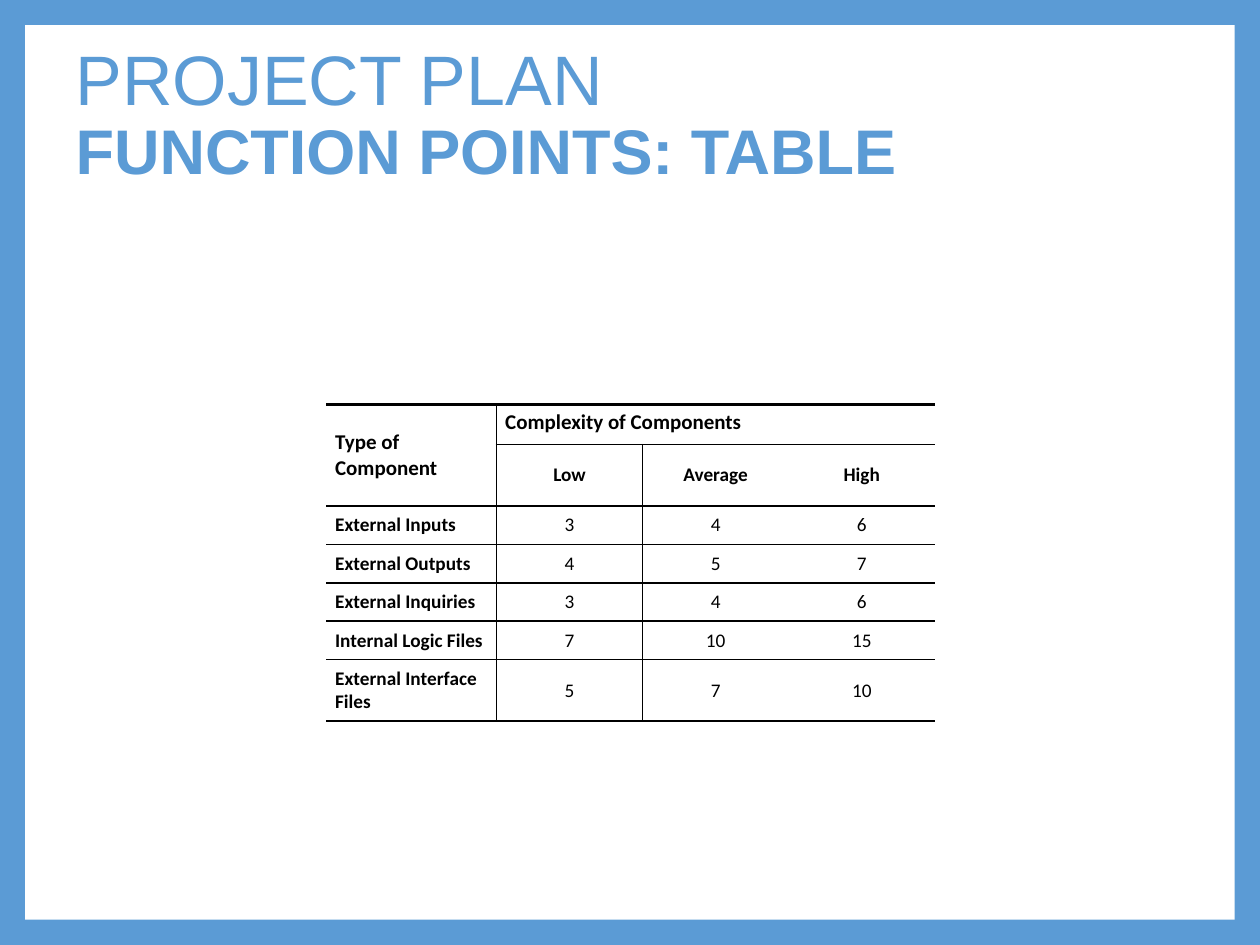
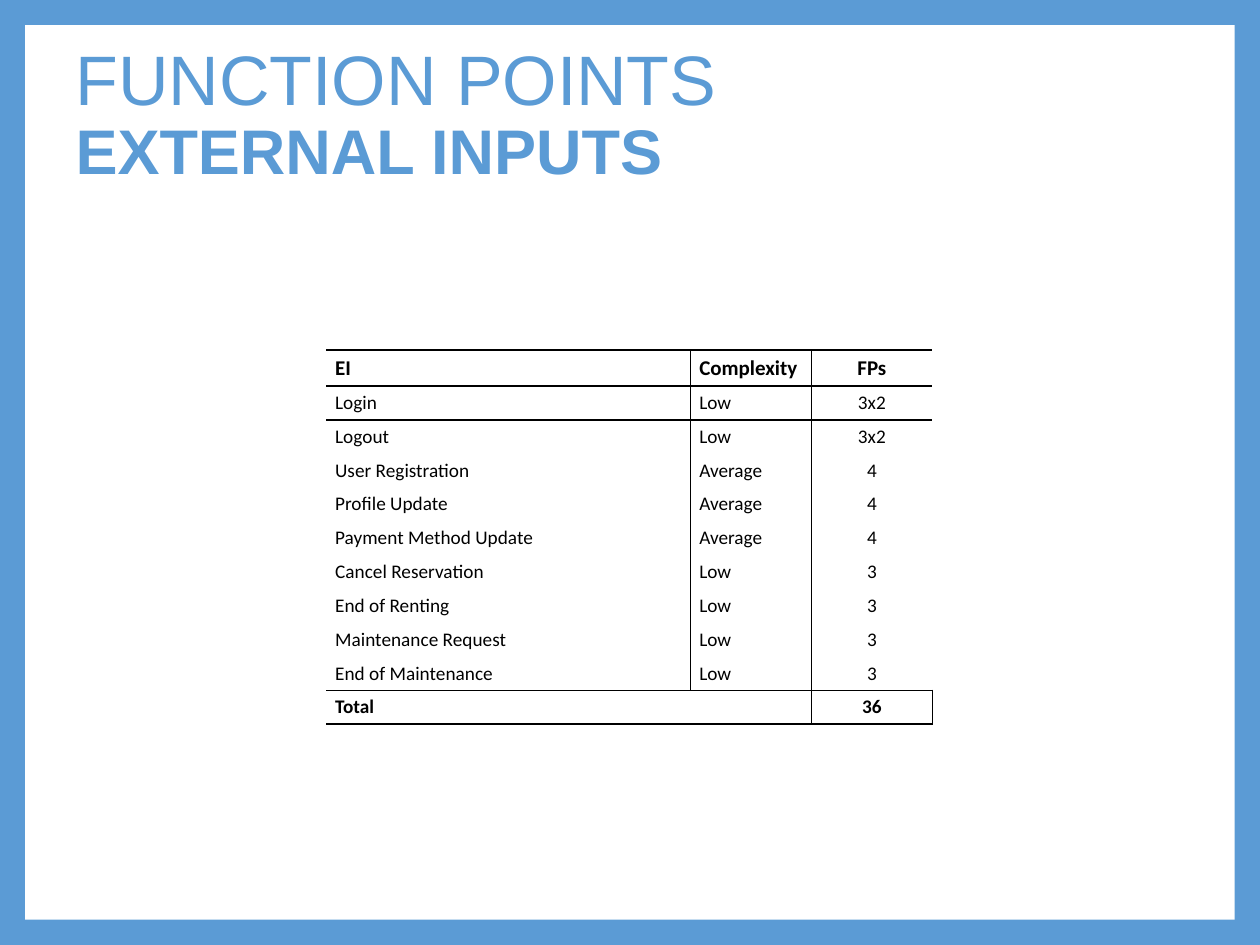
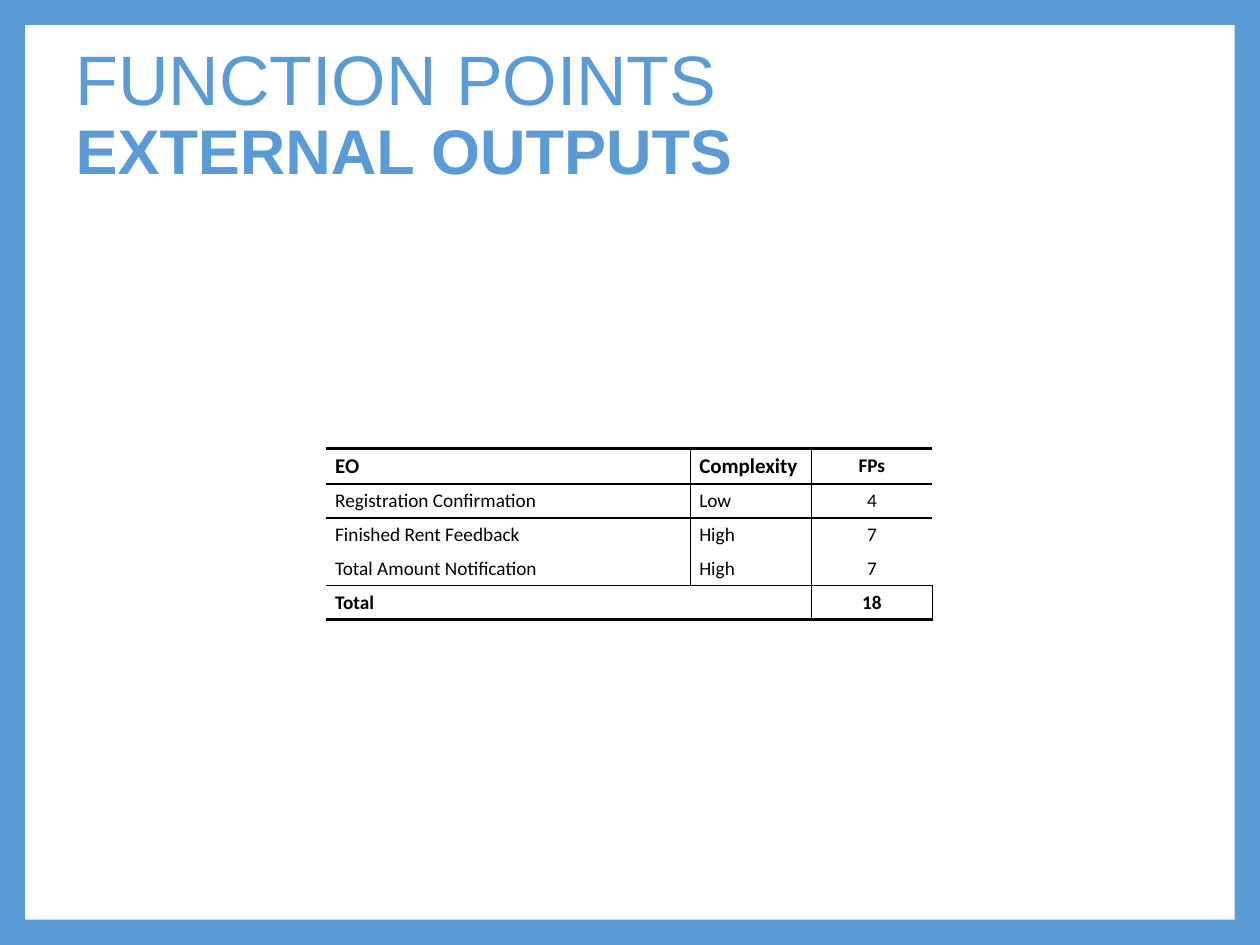
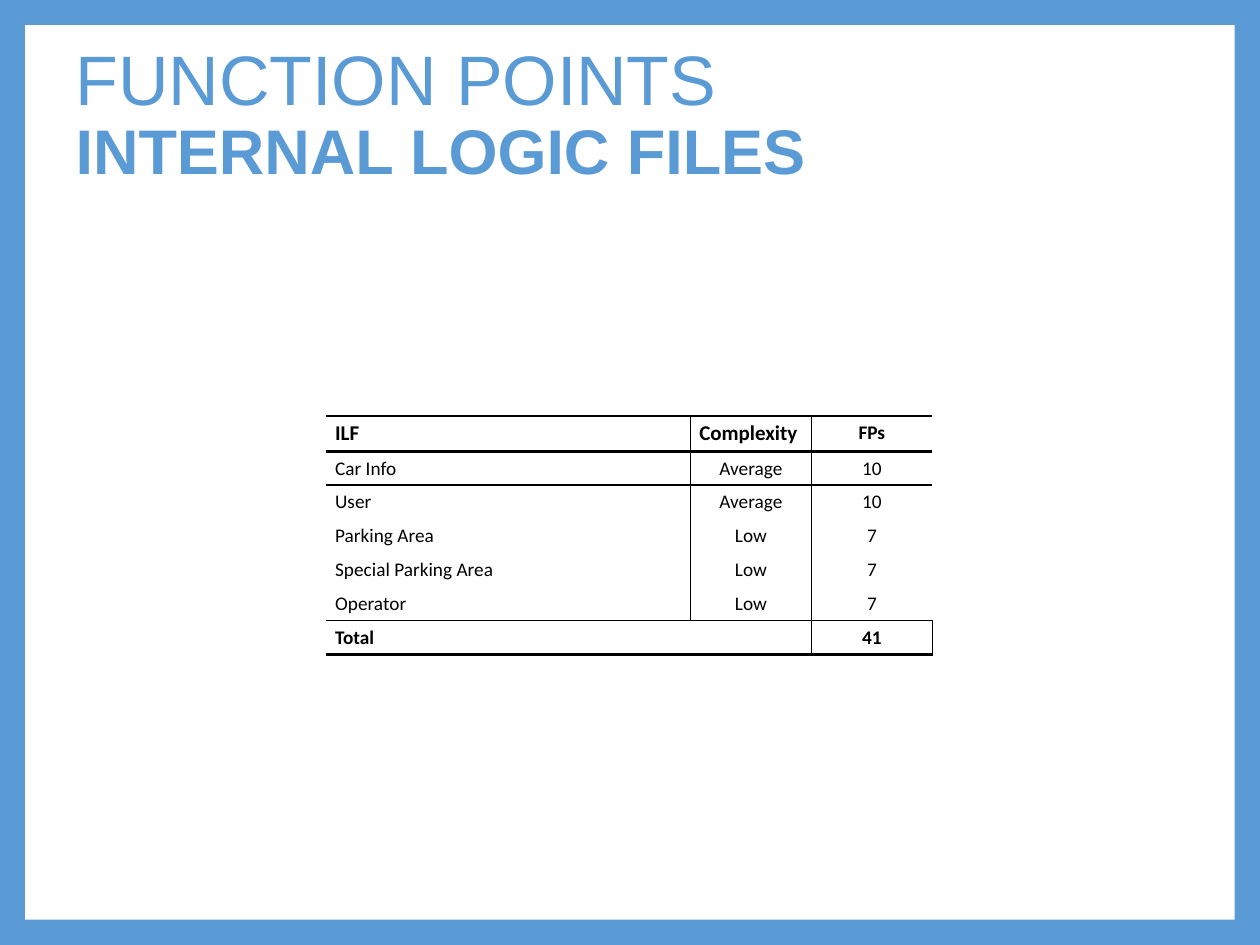
"""Build four function point slides: a blue frame, a two-line title and a ruled table on each."""
from itertools import product

from pptx import Presentation
from pptx.dml.color import RGBColor
from pptx.enum.shapes import MSO_SHAPE
from pptx.enum.text import MSO_ANCHOR, MSO_AUTO_SIZE, PP_ALIGN
from pptx.oxml import parse_xml
from pptx.oxml.ns import nsdecls, qn
from pptx.util import Inches, Pt

BLUE = RGBColor(0x5B, 0x9B, 0xD5)
WHITE = RGBColor(0xFF, 0xFF, 0xFF)
BLACK = RGBColor(0x00, 0x00, 0x00)
TITLE_FONT, TABLE_FONT = "Arial", "Calibri"
NO_STYLE = "{2D5ABB26-0587-4C30-8999-92F81FD0307C}"
TABLE_LEFT = 2.59
ITEM_WIDTHS = [2.89, 0.96, 0.96]

COMPLEXITY_ROWS = [
    ["Type of Component", "Complexity of Components", "", ""],
    ["", "Low", "Average", "High"],
    ["External Inputs", "3", "4", "6"],
    ["External Outputs", "4", "5", "7"],
    ["External Inquiries", "3", "4", "6"],
    ["Internal Logic Files", "7", "10", "15"],
    ["External Interface Files", "5", "7", "10"],
]
INPUT_ROWS = [
    ["EI", "Complexity", "FPs"],
    ["Login", "Low", "3x2"],
    ["Logout", "Low", "3x2"],
    ["User Registration", "Average", "4"],
    ["Profile Update", "Average", "4"],
    ["Payment Method Update", "Average", "4"],
    ["Cancel Reservation", "Low", "3"],
    ["End of Renting", "Low", "3"],
    ["Maintenance Request", "Low", "3"],
    ["End of Maintenance", "Low", "3"],
    ["Total", "", "36"],
]
OUTPUT_ROWS = [
    ["EO", "Complexity", "FPs"],
    ["Registration Confirmation", "Low", "4"],
    ["Finished Rent Feedback", "High", "7"],
    ["Total Amount Notification", "High", "7"],
    ["Total", "", "18"],
]
FILE_ROWS = [
    ["ILF", "Complexity", "FPs"],
    ["Car Info", "Average", "10"],
    ["User", "Average", "10"],
    ["Parking Area", "Low", "7"],
    ["Special Parking Area", "Low", "7"],
    ["Operator", "Low", "7"],
    ["Total", "", "41"],
]


def add_page(heading, subject):
    """Add a slide with its two-line title."""
    page = deck.slides.add_slide(layout)
    title = page.shapes.title
    title.left, title.top, title.width, title.height = map(Inches, (0.5, 0.3, 9, 1.25))
    frame = title.text_frame
    frame.auto_size = MSO_AUTO_SIZE.NONE
    frame.vertical_anchor = MSO_ANCHOR.MIDDLE
    para = frame.paragraphs[0]
    para.alignment = PP_ALIGN.LEFT
    para.line_spacing = 0.9
    para.font.name = TITLE_FONT
    para.font.color.rgb = BLUE
    for text, size, bold in ((heading, 40, False), (subject, 36, True)):
        if bold:
            para.add_line_break()
        span = para.add_run()
        span.text = text
        span.font.size = Pt(size)
        span.font.bold = bold
    return page


def add_ruled_table(page, top, widths, heights, rows, merges, rules, dividers, centred, large, bold):
    """Add a table; rules maps row boundaries to line weights, dividers lists column boundaries."""
    table = page.shapes.add_table(len(rows), len(widths), Inches(TABLE_LEFT), Inches(top),
                                  Inches(sum(widths)), Inches(sum(heights))).table
    table._tbl.tblPr.find(qn("a:tableStyleId")).text = NO_STYLE
    for column, width in zip(table.columns, widths):
        column.width = Inches(width)
    for line, height in zip(table.rows, heights):
        line.height = Inches(height)
    for first, last in merges:
        table.cell(*first).merge(table.cell(*last))

    for row, column in product(range(len(rows)), range(len(widths))):
        cell = table.cell(row, column)
        cell.text = rows[row][column]
        cell.margin_left = cell.margin_right = Inches(0.07)
        cell.margin_top = cell.margin_bottom = Inches(0.04)
        cell.vertical_anchor = MSO_ANCHOR.TOP if row == 0 and column else MSO_ANCHOR.MIDDLE
        para = cell.text_frame.paragraphs[0]
        para.alignment = PP_ALIGN.CENTER if centred(row, column) else PP_ALIGN.LEFT
        para.font.name = TABLE_FONT
        para.font.size = Pt(12 if large(row, column) else 11)
        para.font.bold = bold(row, column)
        para.font.color.rgb = BLACK
        if not cell.is_spanned:
            edges = {"L": 1 if column in dividers else 0,
                     "R": 1 if column + cell.span_width in dividers else 0,
                     "T": rules.get(row, 0),
                     "B": rules.get(row + cell.span_height, 0)}
            for side, weight in edges.items():
                if weight:
                    cell._tc.get_or_add_tcPr().append(parse_xml(
                        f'<a:ln{side} {nsdecls("a")} w="{Pt(weight)}"><a:solidFill>'
                        f'<a:srgbClr val="{BLACK}"/></a:solidFill></a:ln{side}>'))
        cell.fill.background()


deck = Presentation()
deck.slide_width, deck.slide_height = Inches(10), Inches(7.5)
layout = deck.slide_layouts[5]
background = deck.slide_master.background.fill
background.solid()
background.fore_color.rgb = BLUE

page = add_page("PROJECT PLAN", "FUNCTION POINTS: TABLE")
panel = page.shapes.add_shape(MSO_SHAPE.RECTANGLE, Inches(0.2), Inches(0.2), Inches(9.6), Inches(7.1))
panel.shadow.inherit = False
panel.fill.solid()
panel.fill.fore_color.rgb = WHITE
panel.line.fill.background()
layout.shapes._spTree.insert(2, panel._element)

add_ruled_table(
    page, 3.21, [1.35, 1.16, 1.16, 1.16], [0.32, 0.48] + [0.305] * 4 + [0.49], COMPLEXITY_ROWS,
    merges=[((0, 0), (1, 0)), ((0, 1), (0, 3))],
    rules={0: 1.5, 1: 1, 2: 1.5, 3: 1, 4: 1, 5: 1, 6: 1, 7: 1.5},
    dividers={1},
    centred=lambda row, column: row > 0 and column > 0,
    large=lambda row, column: row == 0,
    bold=lambda row, column: row < 2 or column == 0)

for subject, top, rows, large_columns, centred_columns in (
        ("EXTERNAL INPUTS", 2.78, INPUT_ROWS, 3, {2}),
        ("EXTERNAL OUTPUTS", 3.56, OUTPUT_ROWS, 2, {2}),
        ("INTERNAL LOGIC FILES", 3.3, FILE_ROWS, 2, {1, 2})):
    total = len(rows) - 1
    add_ruled_table(
        add_page("FUNCTION POINTS", subject), top, ITEM_WIDTHS, [0.28] + [0.26] * total, rows,
        merges=[((total, 0), (total, 1))],
        rules={0: 1.5, 1: 1.5, total: 1, total + 1: 1.5},
        dividers={1, 2},
        centred=lambda row, column: column == 2 or (row > 0 and column in centred_columns),
        large=lambda row, column: row == 0 and column < large_columns,
        bold=lambda row, column: row in (0, total))

deck.save("out.pptx")
